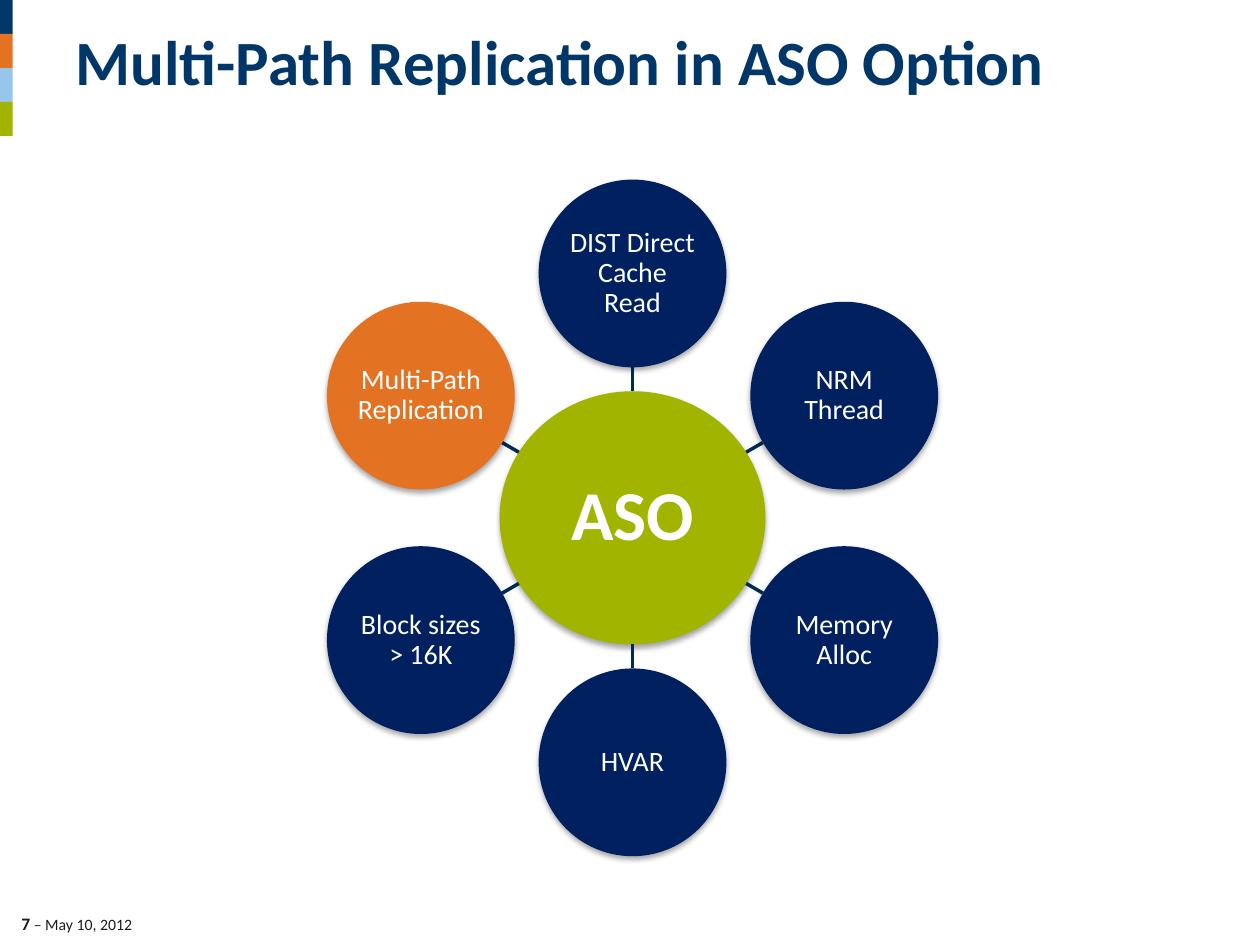
import math

from lxml import etree
from pptx import Presentation
from pptx.dml.color import RGBColor
from pptx.enum import shapes, text
from pptx.oxml import parse_xml
from pptx.oxml.ns import nsdecls, qn
from pptx.util import Inches, Pt

NAVY, ORANGE, SKY, GREEN = "003768", "E37222", "98C6EA", "A0B400"
CIRCLE_BLUE, SPOKE_BLUE, WHITE, BLACK = "002060", "002C53", "FFFFFF", "1C1C1C"
SHADOW = (
    f'<a:effectLst {nsdecls("a")}><a:outerShdw blurRad="40000" dist="23000" '
    'dir="5400000" rotWithShape="0"><a:srgbClr val="000000">'
    '<a:alpha val="35000"/></a:srgbClr></a:outerShdw></a:effectLst>'
)


def style_run(run, size, color, bold=False):
    run.font.name = "Calibri"
    run.font.size = Pt(size)
    run.font.bold = bold
    run.font.color.rgb = RGBColor.from_string(color)


def add_ellipse(x, y, width, height, fill, label, size, inset, bold=False):
    """Add a shadowed ellipse centred on x, y with a centred label."""
    shape = slide.shapes.add_shape(
        shapes.MSO_SHAPE.OVAL, Inches(x - width / 2), Inches(y - height / 2),
        Inches(width), Inches(height))
    shape.fill.solid()
    shape.fill.fore_color.rgb = RGBColor.from_string(fill)
    shape.line.fill.background()
    shape._element.spPr.append(parse_xml(SHADOW))
    frame = shape.text_frame
    frame.text = label
    frame.word_wrap = True
    frame.vertical_anchor = text.MSO_ANCHOR.MIDDLE
    frame.margin_left = frame.margin_right = Inches(inset)
    frame.margin_top = frame.margin_bottom = Inches(inset)
    paragraph = frame.paragraphs[0]
    paragraph.alignment = text.PP_ALIGN.CENTER
    paragraph.line_spacing = 0.9
    style_run(paragraph.runs[0], size, WHITE, bold)


presentation = Presentation()
presentation.slide_width = Inches(10)
presentation.slide_height = Inches(7.5)
slide = presentation.slides.add_slide(presentation.slide_layouts[5])

# Colour bars in the top left corner
for index, color in enumerate([NAVY, ORANGE, SKY, GREEN]):
    bar = slide.shapes.add_shape(
        shapes.MSO_SHAPE.RECTANGLE, 0, Inches(0.27 * index), Inches(0.1), Inches(0.27))
    bar.shadow.inherit = False
    bar.fill.solid()
    bar.fill.fore_color.rgb = RGBColor.from_string(color)
    bar.line.fill.background()

# Title
title = slide.shapes.title
title.left, title.top = Inches(0.5), Inches(0)
title.width, title.height = Inches(9), Inches(1.08)
title.text_frame.text = "Multi-Path Replication in ASO Option"
title.text_frame.vertical_anchor = text.MSO_ANCHOR.MIDDLE
title.text_frame.auto_size = text.MSO_AUTO_SIZE.NONE
paragraph = title.text_frame.paragraphs[0]
paragraph.alignment = text.PP_ALIGN.LEFT
paragraph.line_spacing = 0.75
style_run(paragraph.runs[0], 36, NAVY, bold=True)

# Footer
footer = slide.shapes.add_textbox(Inches(0.17), Inches(7.25), Inches(2.75), Inches(0.16))
frame = footer.text_frame
frame.word_wrap = True
frame.margin_left = frame.margin_top = frame.margin_bottom = 0
for words, size, bold in [("7", 10, True), (" – May 10, 2012", 9, False)]:
    run = frame.paragraphs[0].add_run()
    run.text = words
    style_run(run, size, BLACK, bold)

# Hub with six circles around it, clockwise from the top
center_x, center_y = 5.02, 4.11
hub_width, hub_height = 2.11, 2.01
diameter, ring_radius = 1.49, 1.94
features = [
    ("DIST Direct Cache Read", CIRCLE_BLUE),
    ("NRM Thread", CIRCLE_BLUE),
    ("Memory Alloc", CIRCLE_BLUE),
    ("HVAR", CIRCLE_BLUE),
    ("Block sizes > 16K", CIRCLE_BLUE),
    ("Multi-Path Replication", ORANGE),
]
add_ellipse(center_x, center_y, hub_width, hub_height, GREEN, "ASO", 40, 0.03, bold=True)
for index, (label, fill) in enumerate(features):
    angle = math.radians(index * 360 / len(features))
    across, down = math.sin(angle), -math.cos(angle)
    # Each spoke runs from the hub's edge to the circle's edge
    start = 1 / math.hypot(across / (hub_width / 2), down / (hub_height / 2))
    end = ring_radius - diameter / 2
    spoke = slide.shapes.add_connector(
        shapes.MSO_CONNECTOR.STRAIGHT,
        Inches(center_x + start * across), Inches(center_y + start * down),
        Inches(center_x + end * across), Inches(center_y + end * down))
    spoke.line.color.rgb = RGBColor.from_string(SPOKE_BLUE)
    spoke.line.width = Pt(2)
    etree.SubElement(spoke._element.spPr, qn("a:effectLst"))
    add_ellipse(center_x + ring_radius * across, center_y + ring_radius * down,
                diameter, diameter, fill, label, 16, 0.01)

presentation.save("out.pptx")
